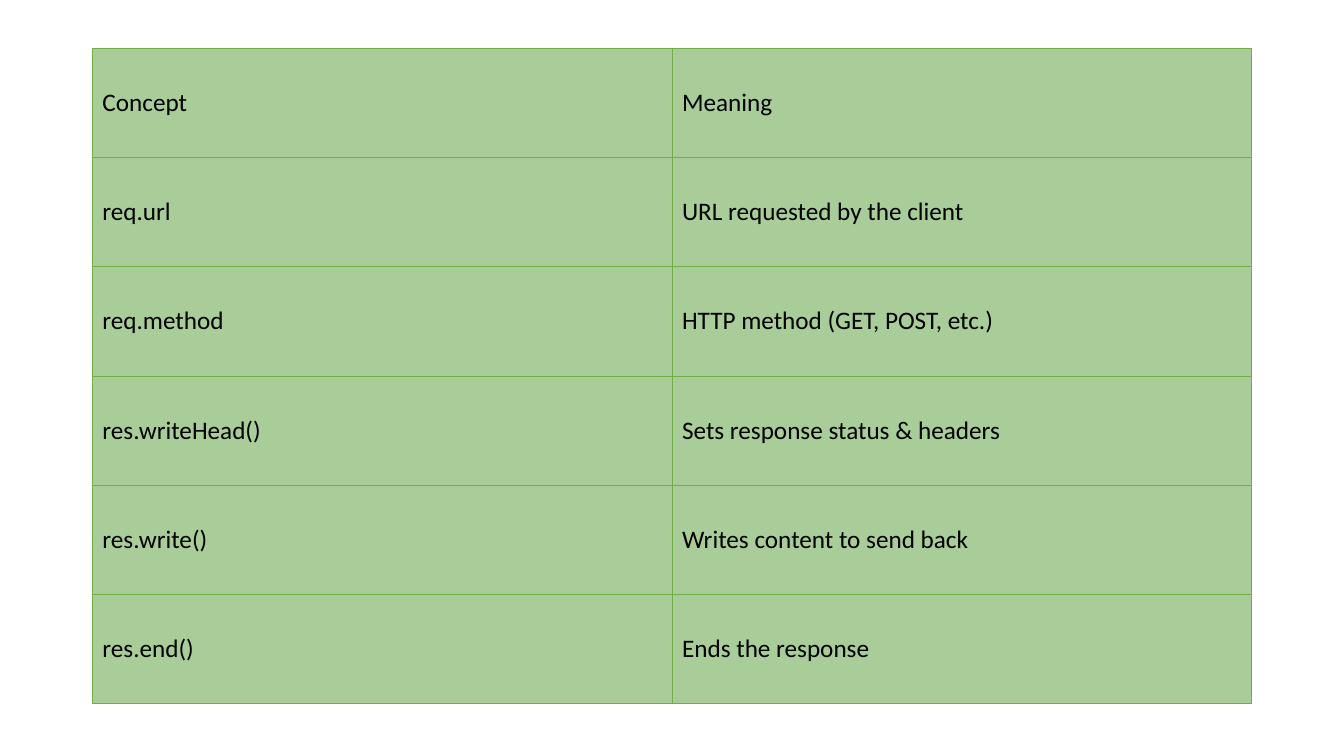
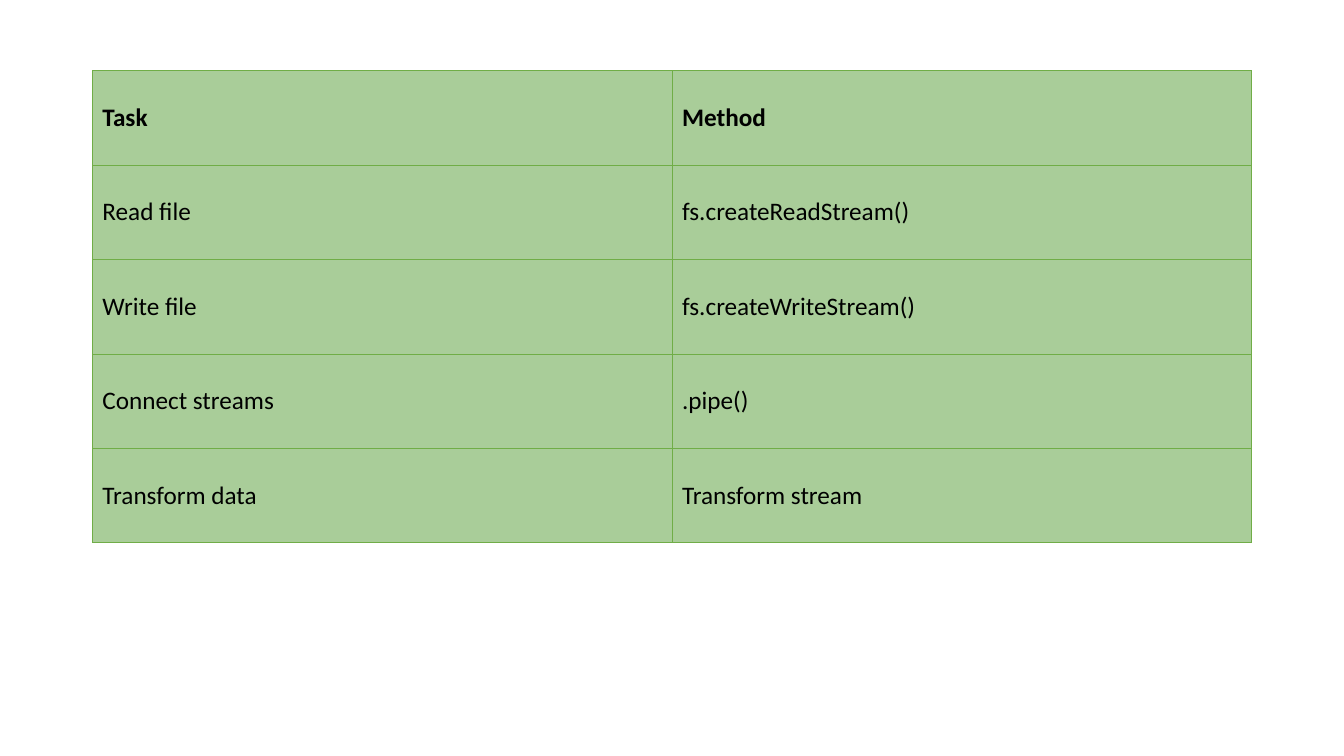
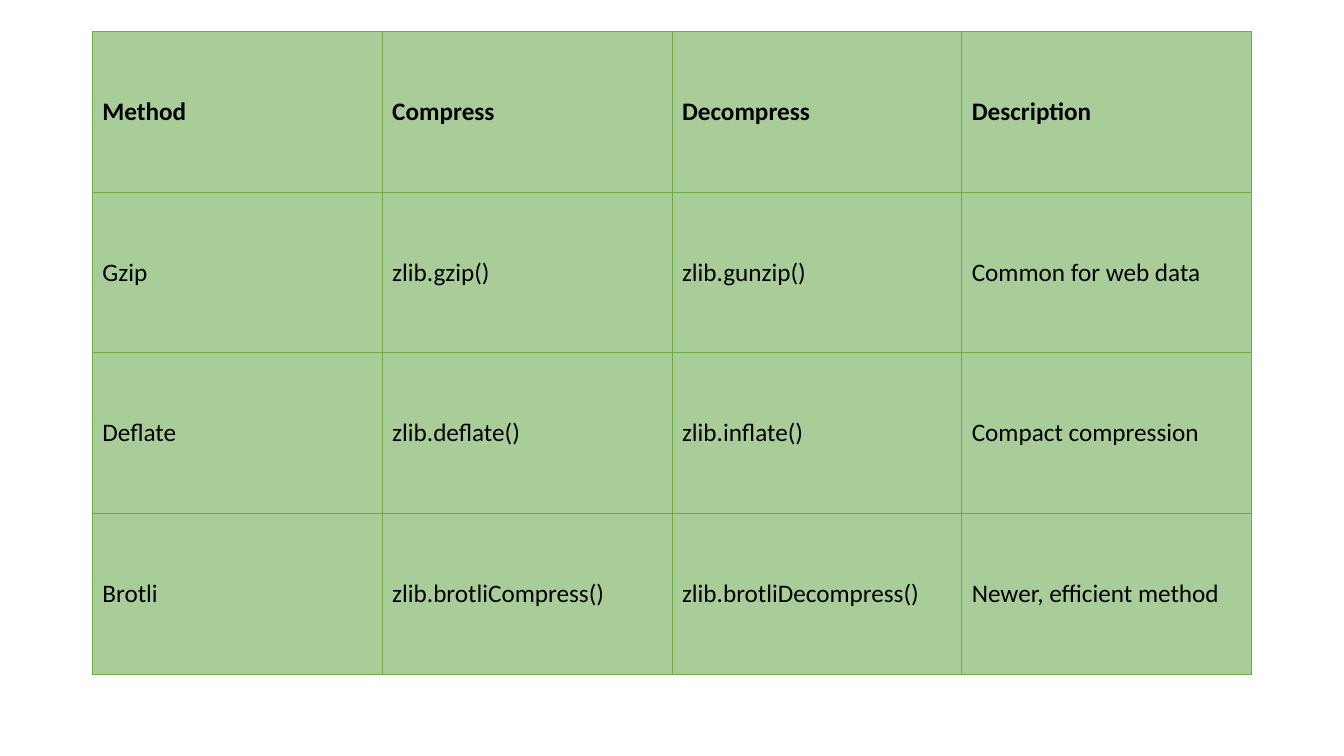
"""Build three slides of Node.js reference tables."""
from lxml import etree
from pptx import Presentation
from pptx import util as u
from pptx.dml.color import RGBColor
from pptx.enum import text
from pptx.oxml.ns import qn

PX = 9525
SLIDE_WIDTH, SLIDE_HEIGHT = 1280, 720
TABLE_LEFT, TABLE_WIDTH = 88, 1104
FONT, FONT_SIZE = "Calibri", 18
INK, CELL_FILL, BORDER = "000000", "A9CD99", "70AD47"
BORDER_WIDTH = 0.5

TABLES = [
    {"top": 46, "row_height": 104, "bold_header": False, "rows": [
        ("Concept", "Meaning"),
        ("req.url", "URL requested by the client"),
        ("req.method", "HTTP method (GET, POST, etc.)"),
        ("res.writeHead()", "Sets response status & headers"),
        ("res.write()", "Writes content to send back"),
        ("res.end()", "Ends the response"),
    ]},
    {"top": 67, "row_height": 90, "bold_header": True, "rows": [
        ("Task", "Method"),
        ("Read file", "fs.createReadStream()"),
        ("Write file", "fs.createWriteStream()"),
        ("Connect streams", ".pipe()"),
        ("Transform data", "Transform stream"),
    ]},
    {"top": 30, "row_height": 153, "bold_header": True, "rows": [
        ("Method", "Compress", "Decompress", "Description"),
        ("Gzip", "zlib.gzip()", "zlib.gunzip()", "Common for web data"),
        ("Deflate", "zlib.deflate()", "zlib.inflate()", "Compact compression"),
        ("Brotli", "zlib.brotliCompress()", "zlib.brotliDecompress()",
         "Newer, efficient method"),
    ]},
]


def color(value):
    return RGBColor.from_string(value)


def add_borders(cell):
    properties = cell._tc.get_or_add_tcPr()
    for index, side in enumerate(("lnL", "lnR", "lnT", "lnB")):
        line = etree.Element(qn(f"a:{side}"), w=str(u.Pt(BORDER_WIDTH)))
        fill = etree.SubElement(line, qn("a:solidFill"))
        etree.SubElement(fill, qn("a:srgbClr"), val=BORDER)
        properties.insert(index, line)


presentation = Presentation()
presentation.slide_width = SLIDE_WIDTH * PX
presentation.slide_height = SLIDE_HEIGHT * PX
blank_layout = presentation.slide_layouts[6]

for content in TABLES:
    rows = content["rows"]
    slide = presentation.slides.add_slide(blank_layout)
    table = slide.shapes.add_table(
        len(rows), len(rows[0]), TABLE_LEFT * PX, content["top"] * PX,
        TABLE_WIDTH * PX, len(rows) * content["row_height"] * PX).table
    table.first_row = False
    table.horz_banding = False
    for row_index, row in enumerate(rows):
        for column_index, label in enumerate(row):
            cell = table.cell(row_index, column_index)
            cell.fill.solid()
            cell.fill.fore_color.rgb = color(CELL_FILL)
            add_borders(cell)
            cell.vertical_anchor = text.MSO_ANCHOR.MIDDLE
            cell.text = label
            font = cell.text_frame.paragraphs[0].font
            font.name = FONT
            font.size = u.Pt(FONT_SIZE)
            font.bold = content["bold_header"] and row_index == 0
            font.color.rgb = color(INK)

presentation.save("out.pptx")
